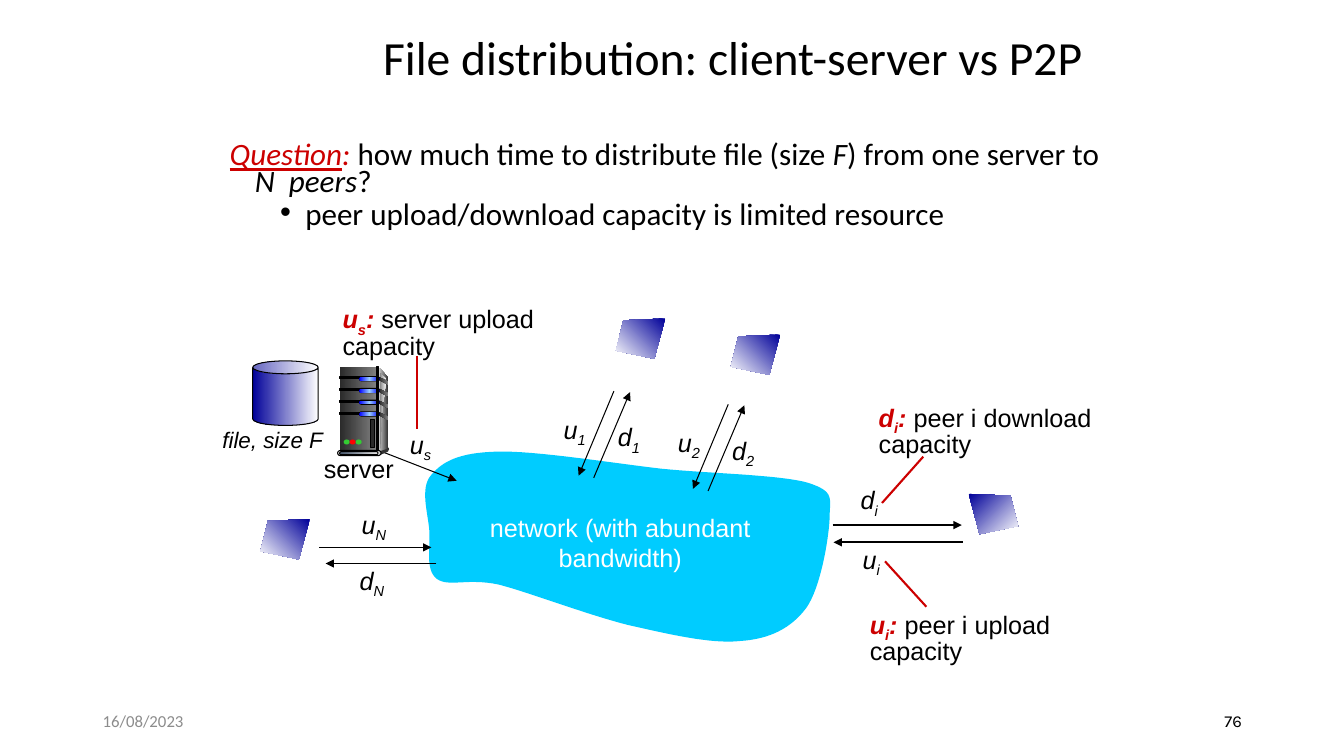
from copy import deepcopy

from lxml import etree
from pptx import Presentation
from pptx.dml.color import RGBColor
from pptx.enum import shapes, text
from pptx.oxml.ns import qn
from pptx.util import Pt

BLACK, RED, WHITE = "000000", "CC0000", "FFFFFF"
BLUE_FADE = ("000099", WHITE)
DARK_FADE = ("292929", "808080")
LAMP_FADE = ("0000FF", "99CCFF", "0000FF")
LEFT, CENTER, RIGHT = text.PP_ALIGN.LEFT, text.PP_ALIGN.CENTER, text.PP_ALIGN.RIGHT
TOP, MIDDLE = text.MSO_ANCHOR.TOP, text.MSO_ANCHOR.MIDDLE
RECT, OVAL = shapes.MSO_SHAPE.RECTANGLE, shapes.MSO_SHAPE.OVAL
PILL, CAN = shapes.MSO_SHAPE.ROUNDED_RECTANGLE, shapes.MSO_SHAPE.CAN

NETWORK_START = (355, 322.6)
NETWORK_CURVES = [
    ((327.6, 323.3), (316.1, 329.8), (308.2, 339.1)),
    ((299.5, 348.5), (306, 367.2), (306.7, 379.4)),
    ((307.4, 391.7), (303.8, 406.8), (311.8, 413.3)),
    ((320.4, 419.8), (333.4, 412.6), (356.4, 417.6)),
    ((378.7, 423.4), (419.8, 439.2), (448.6, 446.4)),
    ((477.4, 452.9), (507.6, 460.1), (528.5, 457.9)),
    ((550.1, 456.5), (565.2, 448.6), (576, 434.2)),
    ((586.1, 419.8), (591.8, 385.9), (592.6, 370.8)),
    ((592.6, 355.7), (596.9, 351.4), (577.4, 344.9)),
    ((557.3, 339.1), (509, 338.4), (472.3, 334.8)),
    ((435.6, 330.5), (382.3, 321.8), NETWORK_START),
]


def rgb(value):
    return RGBColor.from_string(value)


def paint(sp, fill, line=None, angle=0):
    """Fill with one colour, or with a gradient when given a tuple."""
    sp.shadow.inherit = False
    if isinstance(fill, tuple):
        sp.fill.gradient()
        sp.fill.gradient_angle = angle
        stops = sp._element.spPr.find(".//" + qn("a:gsLst"))
        for _ in fill[2:]:
            stops.append(deepcopy(stops[0]))
        for i, (stop, color) in enumerate(zip(sp.fill.gradient_stops, fill)):
            stop.color.rgb = rgb(color)
            stop.position = i / (len(fill) - 1)
    else:
        sp.fill.solid()
        sp.fill.fore_color.rgb = rgb(fill)
    if line:
        sp.line.color.rgb = rgb(line)
        sp.line.width = Pt(0.75)
    else:
        sp.line.fill.background()


def add_preset(parent, kind, box, fill, line=None, adj=None):
    sp = parent.shapes.add_shape(kind, *map(Pt, box))
    if adj is not None:
        sp.adjustments[0] = adj
    paint(sp, fill, line)


def add_outline(parent, points, fill, angle=0):
    start, *rest = [(Pt(x), Pt(y)) for x, y in points]
    builder = parent.shapes.build_freeform(*start)
    builder.add_line_segments(rest)
    paint(builder.convert_to_shape(), fill, angle=angle)


def trace_curves(start, curves, steps=16):
    """Points along a chain of cubic curves."""
    points = [start]
    for b, c, d in curves:
        a = points[-1]
        for i in range(1, steps + 1):
            t = i / steps
            weights = ((1 - t) ** 3, 3 * t * (1 - t) ** 2, 3 * t * t * (1 - t), t ** 3)
            points.append(tuple(sum(w * v for w, v in zip(weights, axis))
                                for axis in zip(a, b, c, d)))
    return points


def add_line(s, x1, y1, x2, y2, color=BLACK, width=0.75, arrow=True):
    cx = s.shapes.add_connector(shapes.MSO_CONNECTOR.STRAIGHT, *map(Pt, (x1, y1, x2, y2)))
    cx.line.color.rgb = rgb(color)
    cx.line.width = Pt(width)
    if arrow:
        etree.SubElement(cx.line._get_or_add_ln(), qn("a:tailEnd"), type="triangle")
    etree.SubElement(cx._element.spPr, qn("a:effectLst"))


def add_run(p, words, size=18, font="Arial", color=BLACK, bold=False, italic=False,
            underline=False, sub=False):
    r = p.add_run()
    r.text = words
    f = r.font
    f.size, f.name, f.color.rgb = Pt(size), font, rgb(color)
    f.bold, f.italic, f.underline = bold, italic, underline
    if sub:
        r._r.get_or_add_rPr().set("baseline", "-25000")


def add_text(s, box, *runs, align=LEFT, anchor=TOP, spacing=None):
    """Text box with one paragraph; each run is (words, style)."""
    tf = s.shapes.add_textbox(*map(Pt, box)).text_frame
    tf.word_wrap = True
    tf.vertical_anchor = anchor
    p = tf.paragraphs[0]
    p.alignment = align
    p.line_spacing = spacing
    for words, style in runs:
        add_run(p, words, **style)
    return tf


def add_symbol(s, x, y, letter, index):
    add_text(s, (x, y, 48.2, 29), (letter, {"italic": True}),
             (index, {"italic": True, "sub": True}))


def add_callout(s, x, y, w, letter, index, meaning):
    red = {"color": RED, "bold": True, "italic": True}
    add_text(s, (x, y, w, 44), (letter, red), (index, {**red, "sub": True}),
             (":", red), (meaning, {}), spacing=0.85)


def indent(p, margin, first, bullet=None):
    pPr = p._p.get_or_add_pPr()
    pPr.set("marL", str(Pt(margin)))
    pPr.set("indent", str(Pt(first)))
    if bullet:
        etree.SubElement(pPr, qn("a:buFont"), typeface="Arial")
        etree.SubElement(pPr, qn("a:buChar"), char=bullet)


def add_title(s, words):
    title = s.shapes.title
    title.left, title.top, title.width, title.height = map(Pt, (266.4, 12.2, 573.1, 61.2))
    tf = title.text_frame
    tf.vertical_anchor = MIDDLE
    tf.auto_size = text.MSO_AUTO_SIZE.NONE
    p = tf.paragraphs[0]
    p.alignment, p.line_spacing = LEFT, 0.9
    add_run(p, words, 34, "Calibri")


def add_question(s):
    body = {"size": 22.2, "font": "Calibri"}
    slanted = {**body, "italic": True}
    tf = add_text(s, (157, 100.1, 650.2, 69.8),
                  ("Question", {**slanted, "color": RED, "underline": True}),
                  (":", {**slanted, "color": RED}),
                  (" how much time to distribute file (size ", body), ("F", slanted),
                  (") from one server to ", body), ("N  peers", slanted), ("?", body),
                  spacing=0.7)
    indent(tf.paragraphs[0], 18, -18)
    p = tf.add_paragraph()
    p.level = 1
    indent(p, 54, -18, "•")
    p.line_spacing, p.space_before = 0.7, Pt(5)
    add_run(p, "peer upload/download capacity is limited resource", **body)


def add_server(s):
    g = s.shapes.add_group_shape()
    add_outline(g, [(271.4, 262.8), (277.2, 270), (277.2, 320.4), (270, 322.6),
                    (271.4, 262.8)], ("DDDDDD", "333333"))
    add_preset(g, RECT, (242.6, 262.1, 26.6, 60.5), DARK_FADE)
    add_outline(g, [(271.4, 266.4), (275.8, 270.7), (272.9, 296), (271.4, 321.1),
                    (271.4, 266.4)], ("808080", "F8F8F8"))
    for bay in range(4):
        y = 269.3 + 8.4 * bay
        add_outline(g, [(270.7, y), (277.2, y + 3.2), (277.2, y + 5.4), (270.7, y + 2.2),
                        (270.7, y)], DARK_FADE)
        add_preset(g, RECT, (242.6, y, 15.1, 1.4), BLACK, BLACK)
        add_preset(g, PILL, (256.3, y - 0.7, 15.1, 3.8), BLACK, adj=0.5)
        add_preset(g, PILL, (256.7, y, 14.4, 2.7), LAMP_FADE, adj=0.5)
    add_preset(g, RECT, (269.3, 262.1, 1.4, 60.5), ("333333", "DDDDDD", "333333"), BLACK)
    add_preset(g, OVAL, (276.5, 319.7, 1.4, 2.2), "333333")
    add_outline(g, [(270.7, 322.6), (270.7, 325.4), (277.2, 322.6), (277.2, 320.4),
                    (270.7, 322.6)], "333333")
    add_preset(g, PILL, (241.2, 321.8, 31, 3.6), "DDDDDD", BLACK, 0.5)
    add_preset(g, PILL, (242.6, 322.6, 27.4, 2.2), ("44546A", "E7E6E6"), BLACK, 0.5)
    for i, color in enumerate(("33CC33", "FF0000", "33CC33")):
        add_preset(g, OVAL, (245.5 + 4.3 * i, 313.9, 4.3, 3.6), color)
    add_preset(g, RECT, (265, 299.5, 2.2, 20.2), "292929", BLACK)


def add_peer(s, x, y, mirrored=False):
    outline = [(0, 0), (29.9, 1.3), (35.3, 23), (7.8, 28.8), (0, 0)]
    add_outline(s, [(x + (dx if mirrored else 35.3 - dx), y + dy) for dx, dy in outline],
                BLUE_FADE, 315 if mirrored else 225)


def main():
    prs = Presentation()
    prs.slide_width, prs.slide_height = Pt(960), Pt(540)
    s = prs.slides.add_slide(prs.slide_layouts[5])
    add_title(s, "File distribution: client-server vs P2P")
    add_question(s)

    add_outline(s, trace_curves(NETWORK_START, NETWORK_CURVES), "00CCFF")
    tf = add_text(s, (340, 362.2, 206, 50.4),
                  ("network (with abundant", {"color": WHITE}), align=CENTER)
    p = tf.add_paragraph()
    p.alignment = CENTER
    add_run(p, "bandwidth)", color=WHITE)

    add_line(s, 263.5, 319, 326.2, 343.4)
    add_symbol(s, 285.8, 303.1, "u", "s")
    add_line(s, 228.2, 391, 308.2, 391)
    add_line(s, 311.8, 402.5, 232.6, 402.5)
    add_symbol(s, 251.3, 360, "u", "N")
    add_symbol(s, 249.8, 400.3, "d", "N")
    for i in range(2):
        dx, dy = 81.7 * i, 9.4 * i
        add_symbol(s, 395.5 + dx, 292.3 + dy, "u", str(i + 1))
        add_symbol(s, 434.2 + dx, 297.7 + dy, "d", str(i + 1))
        add_line(s, 438.5 + dx, 279.4 + dy, 413.3 + dx, 339.8 + dy)
        add_line(s, 424.1 + dx, 341.3 + dy, 450 + dx, 280.1 + dy)
    add_line(s, 594.7, 375.1, 687, 375.1, width=1.5)
    add_line(s, 687.6, 387.4, 595.4, 387.4, width=1.5)
    add_symbol(s, 607.7, 342.7, "d", "i")
    add_symbol(s, 609.1, 385.2, "u", "i")

    add_callout(s, 237.6, 214.6, 158.4, "u", "s", " server upload capacity")
    add_callout(s, 614.2, 432.7, 203.8, "u", "i", " peer i upload capacity")
    add_callout(s, 620.6, 285.1, 167, "d", "i", " peer i download capacity")
    for ends in ((298.1, 254.2, 298.1, 306.7), (659.5, 326.2, 630, 359.3),
                 (661.7, 433.4, 632.2, 401)):
        add_line(s, *ends, color=RED, width=1.5, arrow=False)

    add_preset(s, CAN, (180.5, 257.8, 46.8, 46.1), BLUE_FADE, BLACK, 0.2)
    add_text(s, (139.7, 301, 110.2, 26.6), ("file, size F", {"size": 16, "italic": True}),
             align=CENTER)
    add_server(s)
    add_text(s, (210.2, 320.4, 92.2, 29), ("server", {}), align=CENTER)

    for x, y in ((186, 370.8), (439.9, 227.5), (522, 239)):
        add_peer(s, x, y)
    add_peer(s, 691.9, 352.8, mirrored=True)

    add_text(s, (66.2, 500.4, 216, 28.8),
             ("16/08/2023", {"size": 12, "font": "Calibri", "color": "8C8C8C"}), anchor=MIDDLE)
    add_text(s, (678.2, 500.4, 216, 28.8), ("76", {"size": 12, "font": "Karla"}),
             align=RIGHT, anchor=MIDDLE)
    prs.save("out.pptx")


if __name__ == "__main__":
    main()
